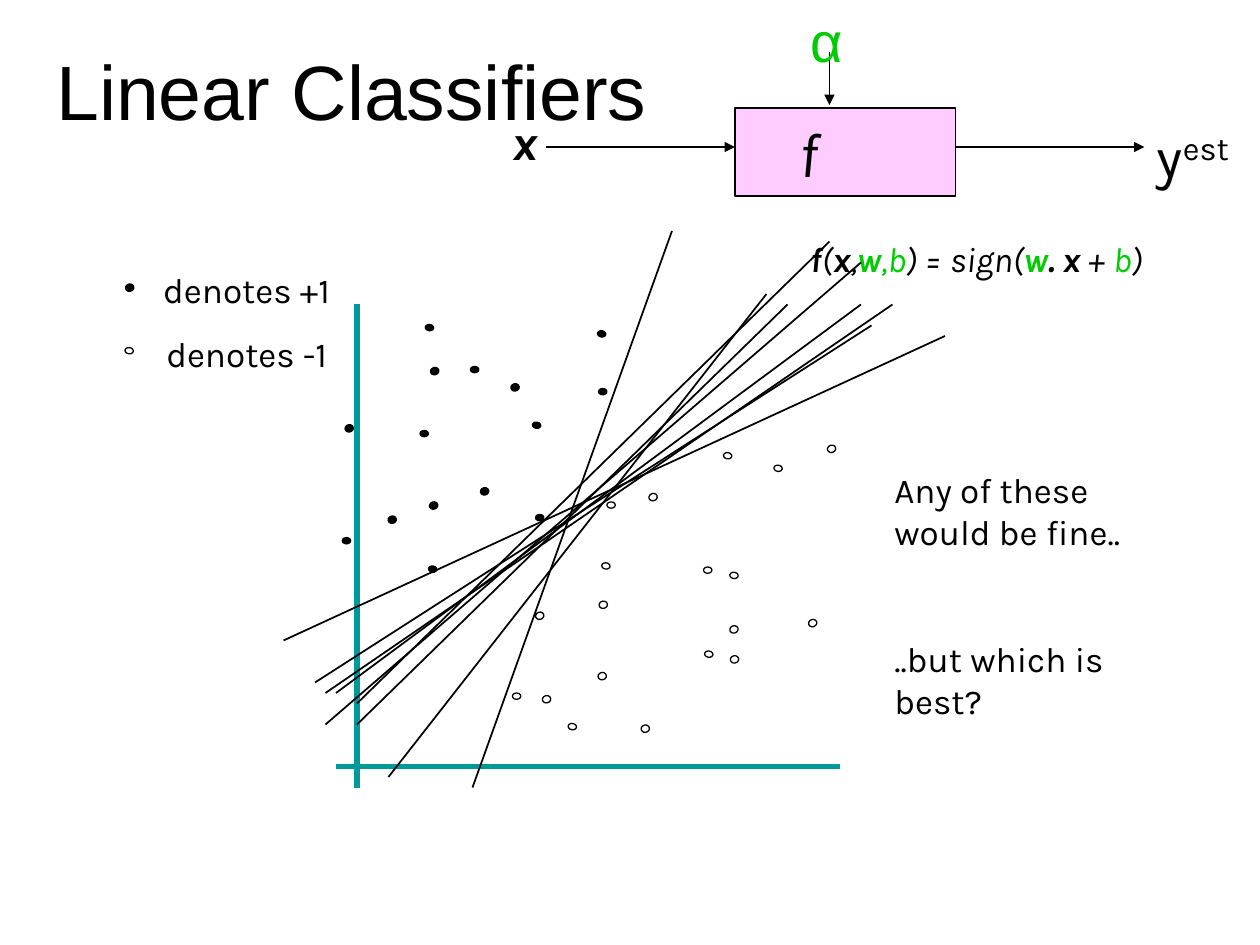
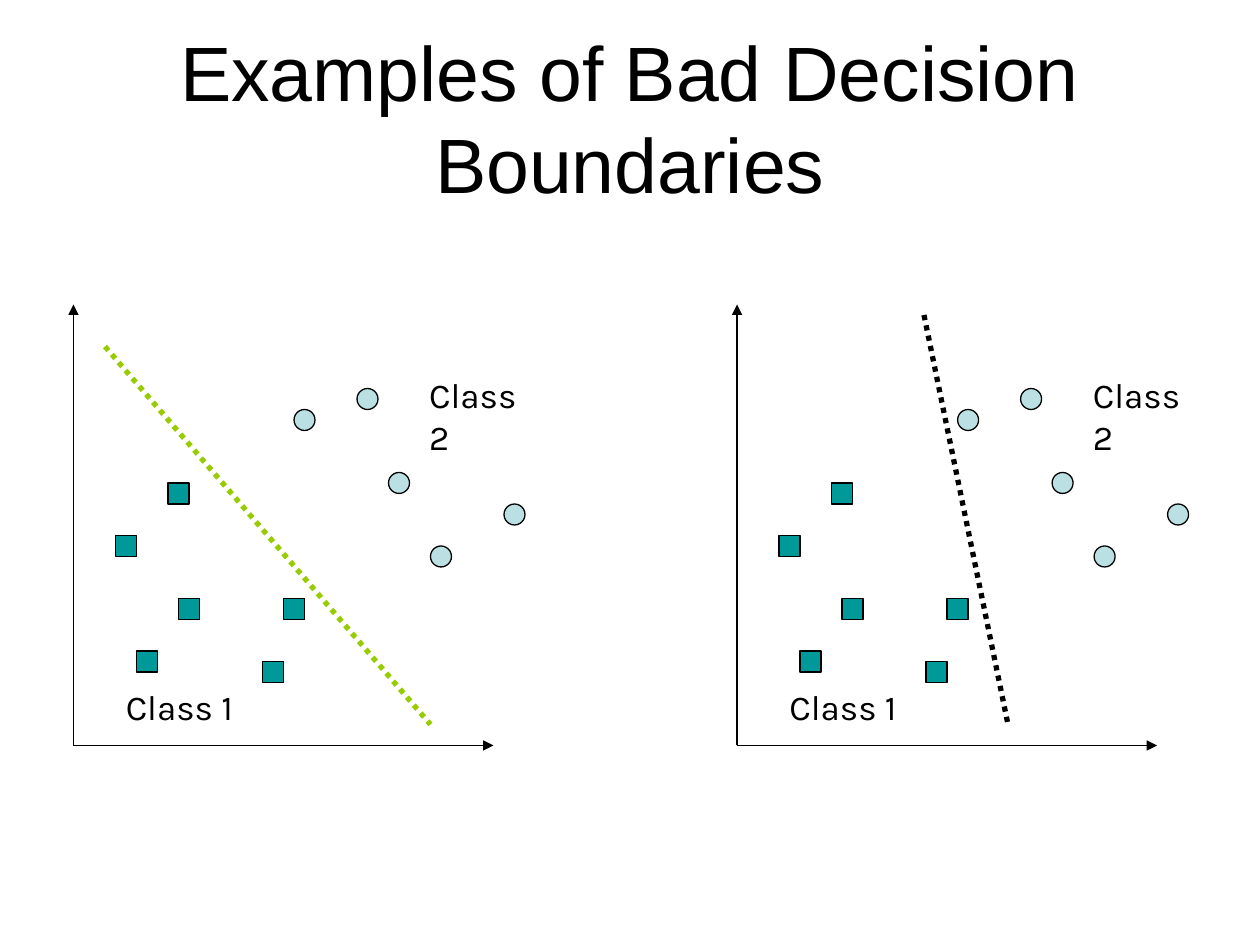
"""Build two slides on linear classifiers and decision boundaries."""
from dataclasses import dataclass

from lxml.etree import SubElement
from pptx import Presentation
from pptx.dml.color import RGBColor
from pptx.enum.dml import MSO_LINE_DASH_STYLE as Dash
from pptx.enum.shapes import MSO_CONNECTOR as Connector
from pptx.enum.shapes import MSO_SHAPE as Shape
from pptx.enum.text import MSO_ANCHOR as Anchor
from pptx.enum.text import MSO_AUTO_SIZE as AutoSize
from pptx.enum.text import PP_ALIGN as Align
from pptx.oxml.ns import qn
from pptx.util import Emu, Pt

EMU_PER_PX = 7620
TITLE_ONLY = 5
MARKER = 20
PLOT_OFFSET = 632


@dataclass(frozen=True)
class Theme:
    """Colours, fonts and type sizes of the slides."""
    black: str = "000000"
    white: str = "FFFFFF"
    pink: str = "FFCCFF"
    green: str = "00CC00"
    lime: str = "99CC00"
    teal: str = "009999"
    pale: str = "BBE0E3"
    heading_font: str = "Arial"
    body_font: str = "Karla"
    title: int = 44
    function: int = 36
    symbol: int = 32
    vector: int = 28
    body: int = 20
    thick: float = 3
    thin: float = 1
    outline: float = 0.75


THEME = Theme()

DOT_GROUPS = [
    (0, (8, 6),
     [(326, 512), (570, 370), (448, 349), (510, 490), (400, 410)],
     [(488, 660), (578, 478), (670, 540)]),
    (341.4, (8, 7),
     [(410, 350), (409, 478)],
     [(510, 583), (788, 424), (695, 596), (618, 470), (770, 590)]),
    (98.2, (6, 8),
     [(508, 401), (409, 538), (570, 314), (406, 308)],
     [(120, 330), (542, 688), (696, 544), (574, 535), (738, 442), (690, 430), (672, 619)]),
    (79.6, (7, 8),
     [(120, 270), (458, 464), (370, 491), (487, 365), (329, 404)],
     [(611, 690), (570, 640), (571, 572), (517, 662), (696, 624)]),
]

CANDIDATE_LINES = [
    ((450, 750), (640, 220)), ((300, 650), (830, 310)), ((340, 690), (750, 290)),
    ((270, 610), (900, 320)), ((320, 660), (820, 290)), ((310, 690), (820, 250)),
    ((340, 670), (790, 230)), ((370, 740), (730, 280)), ((310, 660), (850, 290)),
]

CLASS_1_SQUARES = [(110, 510), (270, 570), (250, 630), (170, 570), (130, 620), (160, 460)]
CLASS_2_CIRCLES = [(340, 370), (370, 450), (480, 480), (280, 390), (410, 520)]


def px(length):
    """Turn pixels into EMU."""
    return Emu(length * EMU_PER_PX)


def rgb(colour):
    """Turn a hex string into a colour."""
    return RGBColor.from_string(colour)


def add_run(paragraph, text, size=THEME.body, colour=THEME.black, font=THEME.body_font,
            bold=False, italic=False, raised=False):
    """Append one formatted run to a paragraph."""
    run = paragraph.add_run()
    run.text = text
    run.font.name = font
    run.font.size = Pt(size)
    run.font.bold = bold
    run.font.italic = italic
    run.font.color.rgb = rgb(colour)
    if raised:
        run.font._element.set("baseline", "30000")


def add_title(slide, text, box):
    """Place and format the title placeholder."""
    title = slide.shapes.title
    title.left, title.top, title.width, title.height = map(px, box)
    frame = title.text_frame
    frame.auto_size = AutoSize.NONE
    frame.vertical_anchor = Anchor.MIDDLE
    paragraph = frame.paragraphs[0]
    paragraph.alignment = Align.CENTER
    add_run(paragraph, text, THEME.title, font=THEME.heading_font)


def add_text(slide, box, paragraphs, align=Align.LEFT, gap=0):
    """Add a text box whose paragraphs are lists of (text, format) runs."""
    frame = slide.shapes.add_textbox(*map(px, box)).text_frame
    frame.word_wrap = True
    for index, runs in enumerate(paragraphs):
        paragraph = frame.add_paragraph() if index else frame.paragraphs[0]
        paragraph.alignment = align
        if index:
            paragraph.space_before = Pt(gap)
        for text, style in runs:
            add_run(paragraph, text, **style)


def add_shape(slide, kind, box, fill, width=THEME.outline, tilt=0):
    """Add a filled preset shape with a black outline."""
    shape = slide.shapes.add_shape(kind, *map(px, box))
    shape.shadow.inherit = False
    shape.rotation = tilt
    shape.fill.solid()
    shape.fill.fore_color.rgb = rgb(fill)
    shape.line.color.rgb = rgb(THEME.black)
    shape.line.width = Pt(width)
    return shape


def add_line(slide, start, end, colour=THEME.black, width=THEME.thin, dash=None, arrow=False):
    """Add a straight line, dashed or with an arrowhead on request."""
    line = slide.shapes.add_connector(Connector.STRAIGHT, *map(px, (*start, *end)))
    line.line.color.rgb = rgb(colour)
    line.line.width = Pt(width)
    if dash:
        line.line.dash_style = dash
    properties = line._element.spPr
    if arrow:
        SubElement(properties.find(qn("a:ln")), qn("a:tailEnd"), type="triangle")
    SubElement(properties, qn("a:effectLst"))


def add_classifier_diagram(slide):
    """Draw the box f with its input, parameter and estimate."""
    box = add_shape(slide, Shape.RECTANGLE, (700, 103, 210, 84), THEME.pink, THEME.thin)
    frame = box.text_frame
    frame.margin_right = px(83)
    frame.vertical_anchor = Anchor.MIDDLE
    frame.paragraphs[0].alignment = Align.CENTER
    add_run(frame.paragraphs[0], "f", THEME.function, italic=True)
    for start, end in [((520, 140), (700, 140)), ((790, 50), (790, 100)),
                       ((910, 140), (1090, 140))]:
        add_line(slide, start, end, arrow=True)
    vector = {"size": THEME.vector, "bold": True, "italic": True}
    alpha = {"size": THEME.symbol, "colour": THEME.green, "font": THEME.heading_font}
    estimate = {"size": THEME.symbol}
    add_text(slide, (460, 100, 80, 68), [[("x", vector)]], Align.CENTER)
    add_text(slide, (760, 0, 50, 77), [[("α", alpha)]], Align.CENTER)
    add_text(slide, (1090, 110, 110, 77),
             [[("y", estimate), ("est", {**estimate, "raised": True})]])


def add_formula(slide):
    """Write the decision function with its parameters in green."""
    plain = {"italic": True}
    strong = {**plain, "bold": True}
    parameter = {**plain, "colour": THEME.green}
    weight = {**strong, "colour": THEME.green}
    runs = [("f", strong), ("(", plain), ("x", strong), (",", plain), ("w", weight),
            (",b", parameter), (") = sign(", plain), ("w", weight), (". x ", strong),
            ("+ ", plain), ("b", parameter), (")", plain)]
    add_text(slide, (720, 220, 420, 53), [runs], Align.CENTER)


def add_scatter(slide):
    """Draw the thick axes and the dots of both labels."""
    for start, end in [((340, 290), (340, 750)), ((320, 730), (800, 730))]:
        add_line(slide, start, end, THEME.teal, THEME.thick)
    for tilt, size, positives, negatives in DOT_GROUPS:
        for fill, corners in ((THEME.black, positives), (THEME.white, negatives)):
            for corner in corners:
                add_shape(slide, Shape.OVAL, (*corner, *size), fill, tilt=tilt)


def add_class_plot(slide, left, boundary, colour):
    """Draw two classes on arrow axes with a dotted boundary."""
    origin = (left + 70, 710)
    for end in [(left + 70, 290), (left + 470, 710)]:
        add_line(slide, origin, end, arrow=True)
    for kind, fill, corners in ((Shape.OVAL, THEME.pale, CLASS_2_CIRCLES),
                                (Shape.RECTANGLE, THEME.teal, CLASS_1_SQUARES)):
        for x, y in corners:
            add_shape(slide, kind, (left + x, y, MARKER, MARKER), fill)
    for text, x, y in (("Class 1", 108, 647), ("Class 2", 397, 350)):
        add_text(slide, (left + x, y, 130, 53), [[(text, {})]])
    start, end = ((left + x, y) for x, y in boundary)
    add_line(slide, start, end, colour, THEME.thick, Dash.ROUND_DOT)


def build_classifiers_slide(slide):
    """Fill the slide on linear classifiers."""
    add_title(slide, "Linear Classifiers", (30, 40, 610, 90))
    add_classifier_diagram(slide)
    add_text(slide, (110, 250, 250, 113), [[("denotes +1", {})], [("denotes -1", {})]],
             Align.CENTER, 12.5)
    add_scatter(slide)
    add_formula(slide)
    add_text(slide, (840, 440, 290, 254),
             [[("Any of these would be fine..", {})], [("..but which is best?", {})]], gap=49)
    for start, end in CANDIDATE_LINES:
        add_line(slide, start, end)


def build_boundaries_slide(slide):
    """Fill the slide on bad decision boundaries."""
    add_title(slide, "Examples of Bad Decision Boundaries", (60, 36, 1080, 150))
    add_class_plot(slide, 0, ((100, 330), (410, 690)), THEME.lime)
    add_class_plot(slide, PLOT_OFFSET, ((248, 300), (328, 690)), THEME.black)


def main():
    """Build and save the presentation."""
    presentation = Presentation()
    presentation.slide_width, presentation.slide_height = px(1200), px(900)
    layout = presentation.slide_layouts[TITLE_ONLY]
    for build in (build_classifiers_slide, build_boundaries_slide):
        build(presentation.slides.add_slide(layout))
    presentation.save("out.pptx")


if __name__ == "__main__":
    main()
